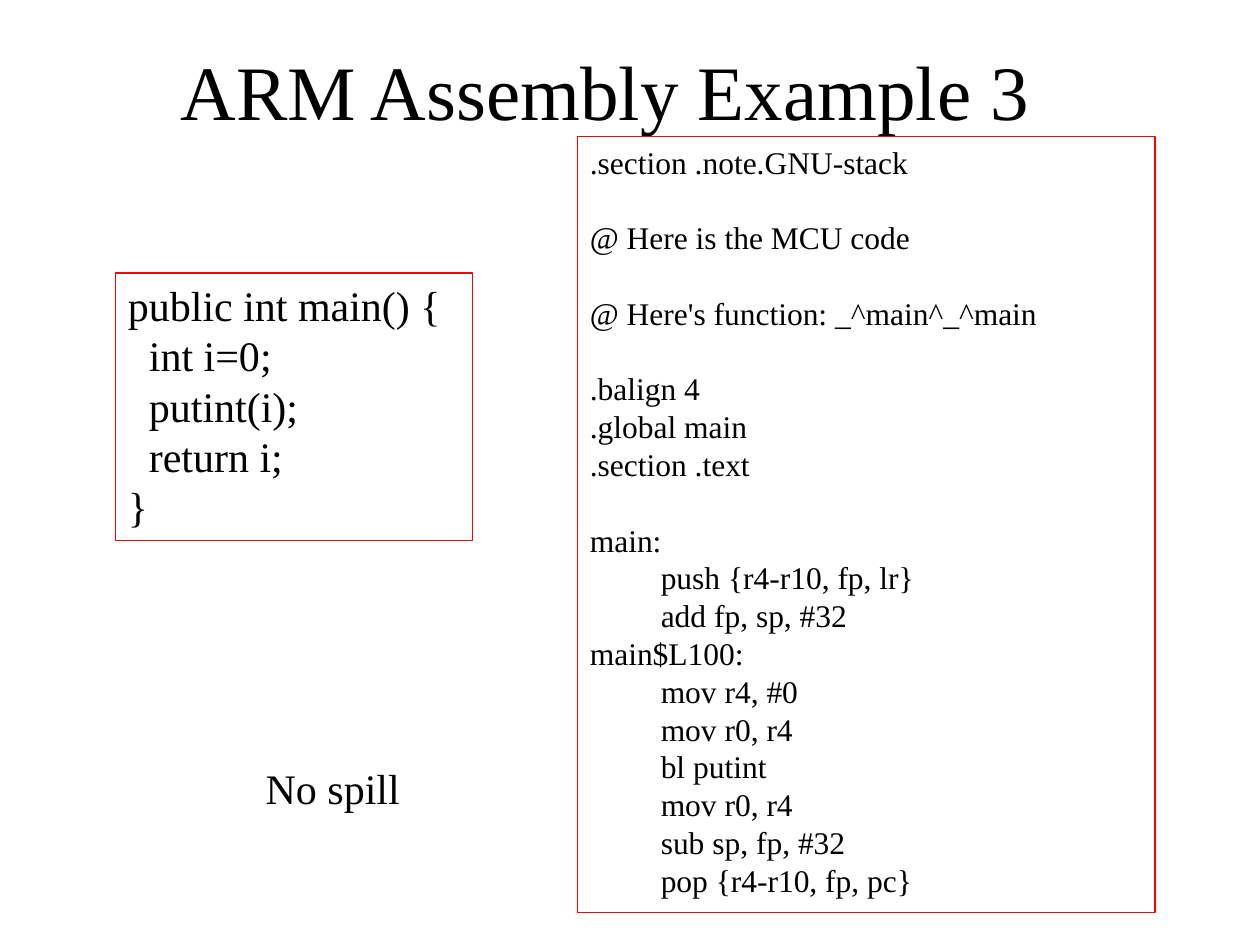
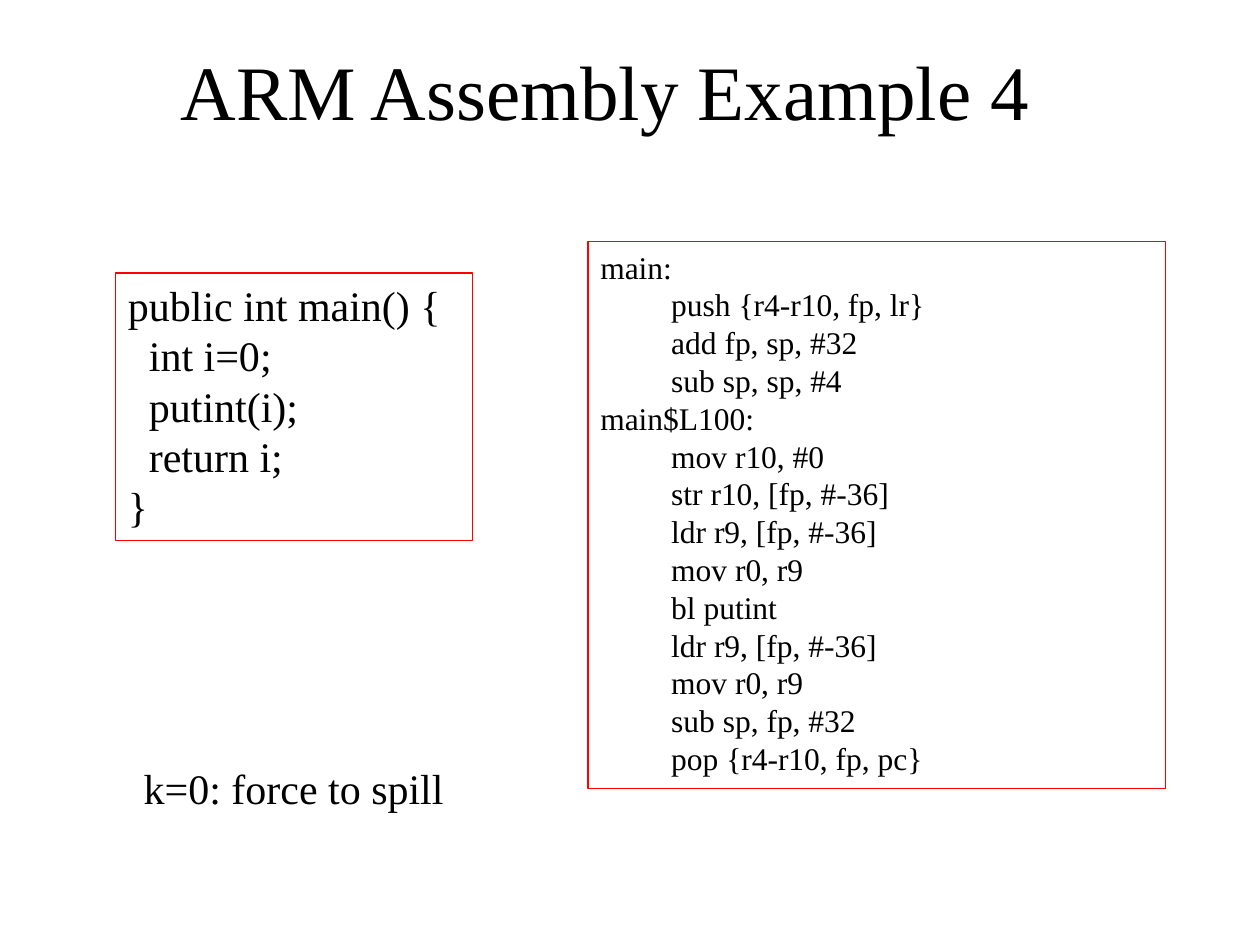
from pptx import Presentation
from pptx.dml.color import RGBColor
from pptx.enum import shapes, text
from pptx.util import Pt

BLACK = RGBColor(0, 0, 0)
WHITE = RGBColor(255, 255, 255)
RED = RGBColor(255, 0, 0)
FONT = "Times New Roman"
LEADING = 1.2

TITLE_BOX = (40, 24, 612, 54)
SOURCE_BOX = (66, 156, 204, 152.7)

SOURCE = """public int main() {
\tint i=0;
\tputint(i);
\treturn i;
}"""

NO_SPILL = """.section .note.GNU-stack

@ Here is the MCU code

@ Here's function: _^main^_^main

.balign 4
.global main
.section .text

main:
\tpush {r4-r10, fp, lr}
\tadd fp, sp, #32
main$L100:
\tmov r4, #0
\tmov r0, r4
\tbl putint
\tmov r0, r4
\tsub sp, fp, #32
\tpop {r4-r10, fp, pc}"""

SPILL = """main:
\tpush {r4-r10, fp, lr}
\tadd fp, sp, #32
\tsub sp, sp, #4
main$L100:
\tmov r10, #0
\tstr r10, [fp, #-36]
\tldr r9, [fp, #-36]
\tmov r0, r9
\tbl putint
\tldr r9, [fp, #-36]
\tmov r0, r9
\tsub sp, fp, #32
\tpop {r4-r10, fp, pc}"""


def style(para, size, align=text.PP_ALIGN.LEFT):
    """Give a paragraph the shared font, leading and alignment."""
    para.font.name = FONT
    para.font.size = Pt(size)
    para.font.color.rgb = BLACK
    para.line_spacing = Pt(size * LEADING)
    para.alignment = align


def add_label(page, box, words, size, align=text.PP_ALIGN.LEFT, anchor=text.MSO_ANCHOR.TOP):
    """Place one line of plain text in the box."""
    frame = page.shapes.add_textbox(*map(Pt, box)).text_frame
    frame.word_wrap = True
    frame.vertical_anchor = anchor
    para = frame.paragraphs[0]
    para.text = words
    style(para, size, align)


def add_code(page, box, code, size, indent):
    """Place a red-framed listing, indenting tabbed lines and spacing its sections."""
    panel = page.shapes.add_shape(shapes.MSO_SHAPE.RECTANGLE, *map(Pt, box))
    panel.shadow.inherit = False
    panel.fill.background()
    panel.line.color.rgb = RED
    panel.line.width = Pt(0.75)
    frame = panel.text_frame
    frame.word_wrap = True
    frame.vertical_anchor = text.MSO_ANCHOR.TOP
    para = frame.paragraphs[0]
    for number, section in enumerate(code.split("\n\n")):
        for row, line in enumerate(section.split("\n")):
            if number or row:
                para = frame.add_paragraph()
            para.text = line.lstrip("\t")
            style(para, size)
            if number and row == 0:
                para.space_before = Pt(size * LEADING)
            if line.startswith("\t"):
                properties = para._p.get_or_add_pPr()
                properties.set("marL", str(Pt(indent)))
                properties.set("indent", "0")


def add_example(deck, number, assembly, assembly_box, note, note_box):
    """Add a slide that sets the source beside its assembly."""
    page = deck.slides.add_slide(deck.slide_layouts[6])
    page.background.fill.solid()
    page.background.fill.fore_color.rgb = WHITE
    add_label(page, TITLE_BOX, f"ARM Assembly Example {number}", 44,
              text.PP_ALIGN.CENTER, text.MSO_ANCHOR.MIDDLE)
    add_code(page, SOURCE_BOX, SOURCE, 24, 12)
    add_code(page, assembly_box, assembly, 18, 40.5)
    add_label(page, note_box, note, 24)


def main():
    """Build both examples and save the deck."""
    deck = Presentation()
    deck.slide_width, deck.slide_height = Pt(720), Pt(540)
    add_example(deck, 3, NO_SPILL, (330, 78, 330, 443.5),
                "No spill", (144.7, 432, 103, 36))
    add_example(deck, 4, SPILL, (336, 138, 330, 312.5),
                "k=0: force to spill", (75, 432, 186, 36))
    deck.save("out.pptx")


if __name__ == "__main__":
    main()
